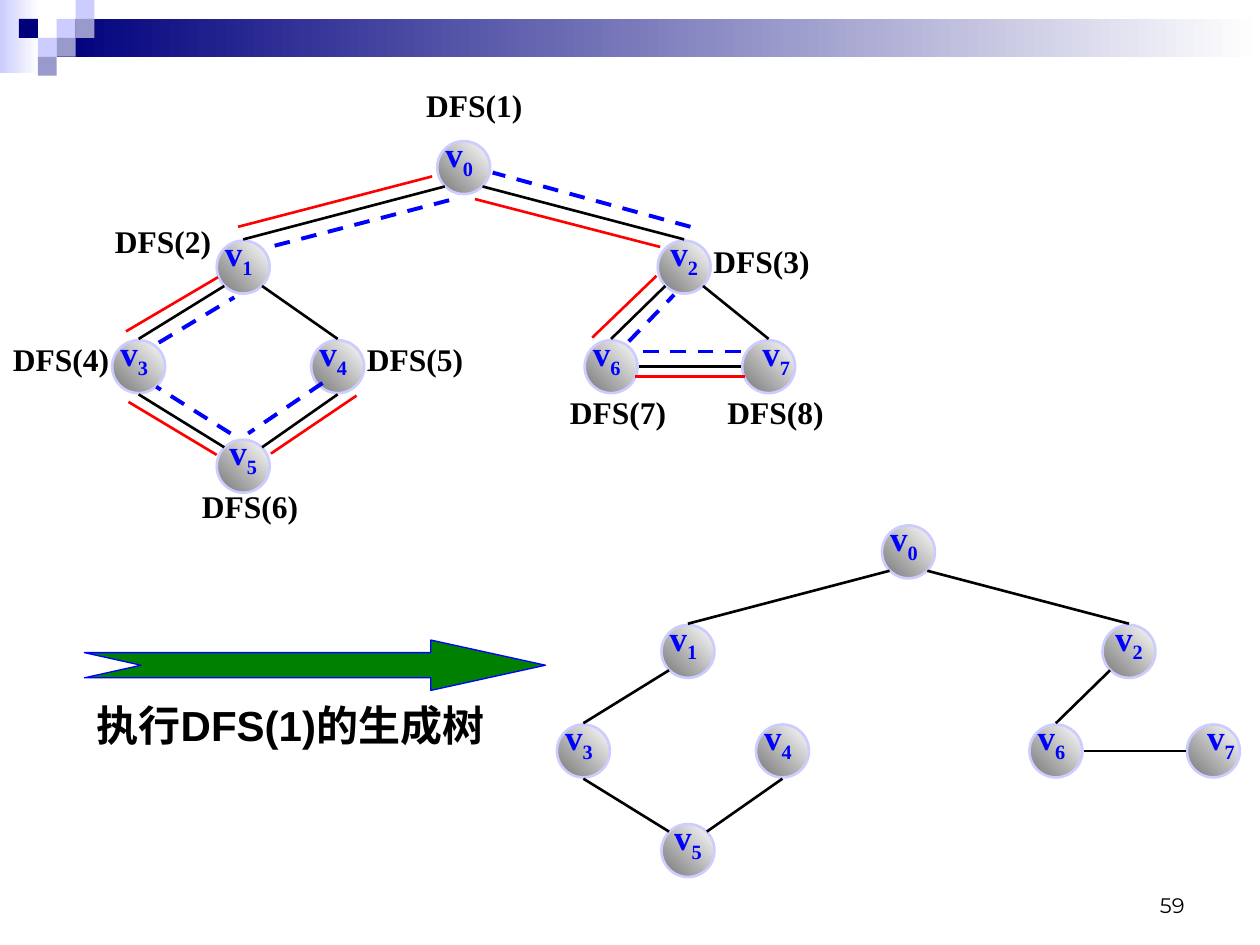
from lxml.etree import SubElement
from pptx import Presentation
from pptx.dml.color import RGBColor
from pptx.enum.dml import MSO_LINE
from pptx.enum.shapes import MSO_CONNECTOR, MSO_SHAPE
from pptx.enum.text import MSO_ANCHOR, MSO_AUTO_SIZE, PP_ALIGN
from pptx.oxml.ns import qn
from pptx.util import Inches, Pt

TILE = 0.15
TILES = [(3, 1, "CCCCFF"), (4, 0, "CCCCFF"), (4, 1, "9999CC"), (2, 2, "CCCCFF"),
         (1, 1, "00007D"), (3, 2, "9999CC"), (2, 3, "9999CC")]

DIAMETER = 0.42
PORT = 0.22       # gap from a node's centre to a line end above, below or beside it
DIAGONAL = 0.15   # the same along each axis for a line end on the diagonal
TOP_ROW, ROW_STEP = 1.33, 0.79
# Node number: (centre x, row, alignment, space after the label)
NODES = {
    0: (3.68, 0, PP_ALIGN.CENTER, " "), 1: (1.93, 1, PP_ALIGN.CENTER, " "),
    2: (5.43, 1, PP_ALIGN.CENTER, ""), 3: (1.1, 2, PP_ALIGN.CENTER, " "),
    4: (2.68, 2, PP_ALIGN.CENTER, " "), 5: (1.93, 3, PP_ALIGN.CENTER, ""),
    6: (4.85, 2, PP_ALIGN.CENTER, " "), 7: (6.1, 2, PP_ALIGN.LEFT, " "),
}
# Each edge starts on the diagonal of its first node
TREE_EDGES = [(0, 1), (0, 2), (1, 3), (5, 4), (5, 3), (2, 6), (6, 7)]
GRAPH_EDGES = TREE_EDGES + [(1, 4), (2, 7)]
TREE_OFFSET = (3.53, 3.05)

CALLS = [(3.43, 1.4, 1.89, 1.8), (1.73, 2.2, 1, 2.63), (1.02, 3.19, 1.72, 3.61),
         (2.15, 3.6, 2.83, 3.14), (3.77, 1.58, 5.24, 1.96), (5.21, 2.19, 4.7, 2.68),
         (5.04, 2.99, 5.91, 2.99)]
RETURNS = [(2.18, 1.95, 3.64, 1.57), (2.56, 3.04, 1.97, 3.44), (1.83, 3.44, 1.24, 3.07),
           (1.26, 2.72, 1.86, 2.36), (5.88, 2.79, 5.07, 2.79), (4.99, 2.71, 5.35, 2.34),
           (5.48, 1.8, 3.91, 1.37)]
CALL_LABELS = [(3.28, 0.63), (0.81, 1.71), (5.56, 1.87), (0, 2.65),
               (2.81, 2.65), (1.5, 3.82), (4.42, 3.07), (5.67, 3.07)]
ARROW = [(0.67, 5.18), (3.42, 5.18), (3.42, 5.08), (4.33, 5.28),
         (3.42, 5.48), (3.42, 5.38), (0.67, 5.38), (1.12, 5.28)]


def color(value):
    return RGBColor.from_string(value)


def set_gradient(shape, start, end, angle=0):
    shape.fill.gradient()
    shape.fill.gradient_angle = angle
    for stop, value in zip(shape.fill.gradient_stops, (start, end)):
        stop.color.rgb = color(value)


def set_font(font, size, name, value, bold=True):
    font.size, font.name, font.bold = Pt(size), name, bold
    font.color.rgb = color(value)


def add_preset(page, kind, left, top, width, height):
    shape = page.shapes.add_shape(kind, *map(Inches, (left, top, width, height)))
    shape.shadow.inherit = False
    shape.line.fill.background()
    return shape


def add_banner(page):
    corner = add_preset(page, MSO_SHAPE.RECTANGLE, 0, 0, 0.31, 0.58)
    set_gradient(corner, "CCCCFF", "FFFFFF")
    bar = add_preset(page, MSO_SHAPE.RECTANGLE, 3 * TILE, TILE, 10 - 3 * TILE, 2 * TILE)
    set_gradient(bar, "00007D", "FFFFFF")
    for column, row, value in TILES:
        tile = add_preset(page, MSO_SHAPE.RECTANGLE, column * TILE, row * TILE, TILE, TILE)
        tile.fill.solid()
        tile.fill.fore_color.rgb = color(value)


def add_line(page, ends, value="000000", width=1.5, dash=None):
    line = page.shapes.add_connector(MSO_CONNECTOR.STRAIGHT, *map(Inches, ends))
    line.line.color.rgb = color(value)
    line.line.width = Pt(width)
    if dash:
        line.line.dash_style = dash
    SubElement(line.element.spPr, qn("a:effectLst"))


def add_text(page, text, left, top, width, height, size=18, name="Times New Roman",
             align=PP_ALIGN.CENTER, bold=True, wrap=True, anchor=MSO_ANCHOR.TOP):
    box = page.shapes.add_textbox(*map(Inches, (left, top, width, height)))
    frame = box.text_frame
    frame.word_wrap = wrap
    frame.vertical_anchor = anchor
    if not wrap:
        frame.auto_size = MSO_AUTO_SIZE.SHAPE_TO_FIT_TEXT
    para = frame.paragraphs[0]
    para.text, para.alignment = text, align
    set_font(para.font, size, name, "000000", bold)


def add_node(page, number, x, y, align, gap):
    node = add_preset(page, MSO_SHAPE.OVAL, x - DIAMETER / 2, y - DIAMETER / 2,
                      DIAMETER, DIAMETER)
    set_gradient(node, "767676", "FFFFFF", 45)
    node.line.color.rgb = color("CCCCFF")
    node.line.width = Pt(1.5)
    frame = node.text_frame
    frame.word_wrap = False
    frame.vertical_anchor = MSO_ANCHOR.BOTTOM
    para = frame.paragraphs[0]
    para.alignment = align
    set_font(para.font, 20, "Times New Roman", "0000FF")
    para.add_run().text = "v"
    subscript = para.add_run()
    subscript.text = str(number)
    subscript.font._element.set("baseline", "-25000")
    if gap:
        para.add_run().text = gap


def edge_ends(start, end):
    """Line ends for an edge: beside the nodes in one row, else diagonal to vertical."""
    (x1, y1), (x2, y2) = start, end
    if y1 == y2:
        return x1 + PORT, y1, x2 - PORT, y2
    across = DIAGONAL if x2 > x1 else -DIAGONAL
    down = 1 if y2 > y1 else -1
    return x1 + across, y1 + down * DIAGONAL, x2, y2 - down * PORT


def add_graph(page, edges, offset=(0, 0)):
    centers = {}
    for number, (x, row, align, gap) in NODES.items():
        centers[number] = (x + offset[0], TOP_ROW + row * ROW_STEP + offset[1])
        add_node(page, number, *centers[number], align, gap)
    for start, end in edges:
        add_line(page, edge_ends(centers[start], centers[end]))


def add_arrow(page):
    points = [(Inches(x), Inches(y)) for x, y in ARROW]
    builder = page.shapes.build_freeform(*points[0])
    builder.add_line_segments(points[1:], close=True)
    arrow = builder.convert_to_shape()
    arrow.shadow.inherit = False
    arrow.fill.solid()
    arrow.fill.fore_color.rgb = color("008000")
    arrow.line.color.rgb = color("0000FF")
    arrow.line.width = Pt(0.75)


def main():
    deck = Presentation()
    deck.slide_width, deck.slide_height = Inches(10), Inches(7.5)
    page = deck.slides.add_slide(deck.slide_layouts[6])
    add_banner(page)
    add_graph(page, GRAPH_EDGES)
    for ends in CALLS:
        add_line(page, ends, "FF0000")
    for ends in RETURNS:
        add_line(page, ends, "0000FF", 2.25, MSO_LINE.DASH)
    for order, (left, top) in enumerate(CALL_LABELS, 1):
        add_text(page, f"DFS({order})", left, top, 0.97, 0.4)
    add_graph(page, TREE_EDGES, TREE_OFFSET)
    add_arrow(page)
    add_text(page, "执行DFS(1)的生成树", 0.59, 5.5, 3.43, 0.5, 24, "Arial", wrap=False)
    add_text(page, "59", 7.17, 6.83, 2.33, 0.5, 12, "Montserrat", PP_ALIGN.RIGHT,
             bold=False, anchor=MSO_ANCHOR.BOTTOM)
    deck.save("out.pptx")


if __name__ == "__main__":
    main()
